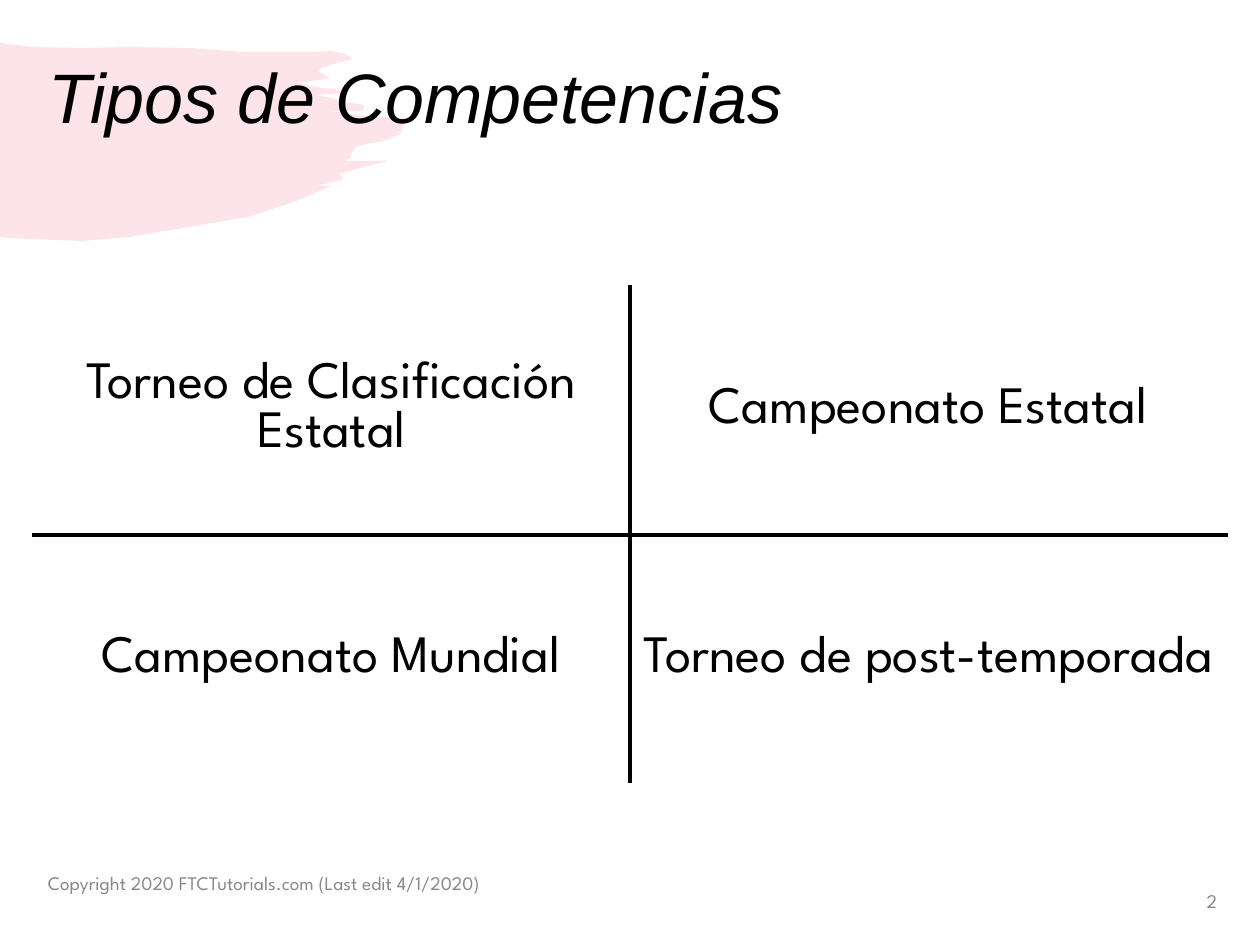
import dataclasses
import typing

import lxml.etree
import pptx
import pptx.dml.color
import pptx.enum.text
import pptx.oxml.ns
import pptx.util

SCALE = 914400 // 126
BLACK = pptx.dml.color.RGBColor(0x00, 0x00, 0x00)
GREY = pptx.dml.color.RGBColor(0x88, 0x88, 0x88)
PINK = pptx.dml.color.RGBColor(0xF0, 0x7C, 0x98)
ALIGN = pptx.enum.text.PP_ALIGN
ANCHOR = pptx.enum.text.MSO_ANCHOR
SPARTAN = "League Spartan"

BODY = {"name": SPARTAN, "size": pptx.util.Pt(30), "bold": False}
HEAD = {"name": "Arial", "size": pptx.util.Pt(40), "italic": True}
FOOT = {"name": SPARTAN, "size": pptx.util.Pt(11)}

BRUSH = [
    (0, 43), (8, 44), (32, 47), (83, 48), (129, 47), (190, 48), (244, 52),
    (312, 52), (333, 51), (345, 54), (353, 59), (341, 62), (321, 68),
    (319, 72), (323, 74), (330, 78), (300, 83), (310, 86), (323, 88),
    (335, 89), (347, 93), (316, 95), (331, 98), (344, 102), (353, 103),
    (363, 105), (365, 107), (362, 111), (358, 111), (331, 111), (372, 117),
    (416, 118), (404, 122), (401, 134), (387, 140), (378, 142), (357, 146),
    (353, 151), (350, 158), (345, 161), (388, 161), (339, 174), (344, 179),
    (318, 186), (331, 186), (294, 202), (248, 217), (129, 237), (82, 241),
    (29, 239), (9, 238), (0, 237),
]
GRID = [
    ["Torneo de Clasificación Estatal", "Campeonato Estatal"],
    ["Campeonato Mundial", "Torneo de post-temporada"],
]


@dataclasses.dataclass
class Label:
    text: str
    left: int
    top: int
    width: int
    height: int
    style: dict
    color: pptx.dml.color.RGBColor
    align: typing.Any = ALIGN.LEFT
    anchor: typing.Any = ANCHOR.MIDDLE
    pad: int = 6
    space: float = 1.0


LABELS = [
    Label("Tipos de Competencias", 35, 50, 1193, 102, HEAD, BLACK, space=0.9),
    Label("Copyright 2020 FTCTutorials.com (Last edit 4/1/2020)",
          35, 871, 567, 50, FOOT, GREY, anchor=ANCHOR.TOP, pad=0),
    Label("2", 1158, 876, 72, 50, FOOT, GREY, align=ALIGN.RIGHT),
]


def px(count: int) -> int:
    return count * SCALE


def style_para(para, style: dict, color, align) -> None:
    para.alignment = align
    for run in para.runs:
        for key, value in style.items():
            setattr(run.font, key, value)
        run.font.color.rgb = color


def draw_label(slide, label: Label) -> None:
    box = slide.shapes.add_textbox(
        px(label.left), px(label.top), px(label.width), px(label.height))
    frame = box.text_frame
    look = {
        "word_wrap": True, "vertical_anchor": label.anchor,
        "margin_left": px(13), "margin_right": px(13),
        "margin_top": px(label.pad), "margin_bottom": px(label.pad),
    }
    for key, value in look.items():
        setattr(frame, key, value)
    para = frame.paragraphs[0]
    para.text = label.text
    para.line_spacing = label.space
    style_para(para, label.style, label.color, label.align)


def draw_brush(slide) -> None:
    start, *rest = BRUSH
    pen = slide.shapes.build_freeform(*start, scale=SCALE)
    pen.add_line_segments(rest, close=True)
    brush = pen.convert_to_shape()
    brush.shadow.inherit = False
    brush.line.fill.background()
    brush.fill.solid()
    brush.fill.fore_color.rgb = PINK
    tone = brush.fill._xPr.find(".//" + pptx.oxml.ns.qn("a:srgbClr"))
    lxml.etree.SubElement(tone, pptx.oxml.ns.qn("a:alpha"), val="20000")


def add_edge(cell, side: str, spot: int) -> None:
    qn = pptx.oxml.ns.qn
    props = cell._tc.get_or_add_tcPr()
    line = lxml.etree.Element(qn("a:ln" + side), w=str(pptx.util.Pt(3)))
    fill = lxml.etree.SubElement(line, qn("a:solidFill"))
    lxml.etree.SubElement(fill, qn("a:srgbClr"), val=str(BLACK))
    props.insert(spot, line)


def draw_grid(slide) -> None:
    table = slide.shapes.add_table(
        2, 2, px(33), px(286), px(1194), px(498)).table
    table.first_row = table.horz_banding = False
    for row, texts in enumerate(GRID):
        for col, text in enumerate(texts):
            cell = table.cell(row, col)
            cell.text = text
            cell.vertical_anchor = ANCHOR.MIDDLE
            for side in ("left", "right", "top", "bottom"):
                setattr(cell, "margin_" + side, px(13))
            cell.fill.background()
            add_edge(cell, "L" if col else "R", 0)
            add_edge(cell, "T" if row else "B", 1)
            style_para(cell.text_frame.paragraphs[0], BODY, BLACK,
                       ALIGN.CENTER)


def main() -> None:
    deck = pptx.Presentation()
    deck.slide_width, deck.slide_height = px(1260), px(945)
    slide = deck.slides.add_slide(deck.slide_layouts[6])
    draw_brush(slide)
    draw_grid(slide)
    for label in LABELS:
        draw_label(slide, label)
    deck.save("out.pptx")


if __name__ == "__main__":
    main()
